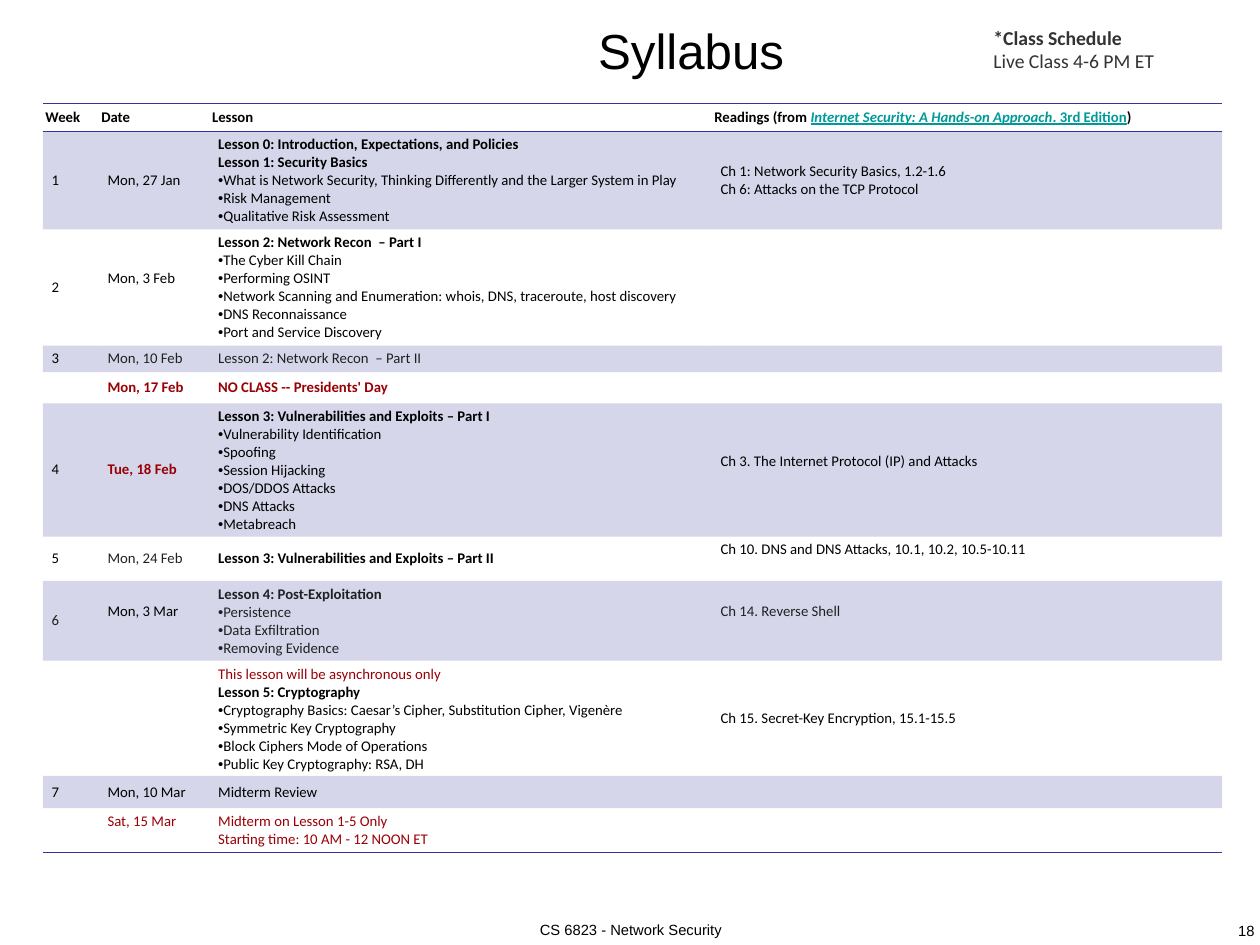
from lxml import etree
from pptx import Presentation
from pptx.dml.color import RGBColor
from pptx.enum.text import MSO_ANCHOR, PP_ALIGN
from pptx.oxml.ns import qn
from pptx.util import Inches, Pt

MID, LOW = MSO_ANCHOR.MIDDLE, MSO_ANCHOR.BOTTOM
LEFT, MIDDLE = PP_ALIGN.LEFT, PP_ALIGN.CENTER
BLACK = RGBColor(0x00, 0x00, 0x00)
GREY = RGBColor(0x33, 0x33, 0x33)
DARK = RGBColor(0x20, 0x21, 0x22)
RED = RGBColor(0x99, 0x00, 0x06)
TEAL = RGBColor(0x00, 0x99, 0x99)
NAVY = RGBColor(0x33, 0x33, 0x99)
PLAIN = "{2D5ABB26-0587-4C30-8999-92F81FD0307C}"

deck = Presentation()
deck.slide_width, deck.slide_height = Inches(14.22), Inches(10.67)
wide, high = deck.slide_width / 100, deck.slide_height / 100
slide = deck.slides.add_slide(deck.slide_layouts[5])


def write(para, text, size=12, face="Calibri", ink=BLACK, bold=False, slant=False, under=False):
    run = para.add_run()
    run.text = text
    font = run.font
    font.size, font.name, font.color.rgb = Pt(size), face, ink
    font.bold, font.italic, font.underline = bold, slant, under


def spot(left, top, width, height):
    return [int(left * wide), int(top * high), int(width * wide), int(height * high)]


title = slide.shapes.title
title.left, title.top, title.width, title.height = spot(47.05, 1.5, 21.3, 7.5)
frame = title.text_frame
frame.vertical_anchor = LOW
frame.margin_left = frame.margin_right = frame.margin_top = frame.margin_bottom = Inches(0.06)
frame.paragraphs[0].alignment = LEFT
write(frame.paragraphs[0], "Syllabus", size=40, face="Arial")

for text, area in (
    ("CS 6823 - Network Security", (42.75, 96.9, 14.65, 2.9)),
    ("18", (97.9, 97, 2.05, 2.9)),
):
    frame = slide.shapes.add_textbox(*spot(*area)).text_frame
    frame.word_wrap = True
    frame.vertical_anchor = MID
    frame.margin_left = frame.margin_right = frame.margin_top = frame.margin_bottom = 0
    frame.paragraphs[0].alignment = MIDDLE
    write(frame.paragraphs[0], text, face="Arial")

frame = slide.shapes.add_textbox(*spot(78.15, 2.25, 16.5, 6)).text_frame
frame.word_wrap = True
write(frame.paragraphs[0], "*Class Schedule", size=16, ink=GREY, bold=True)
write(frame.add_paragraph(), "Live Class 4-6 PM ET", size=16, ink=GREY)

bold, dark, red = dict(bold=True), dict(ink=DARK), dict(ink=RED)
alert, shade = dict(ink=RED, bold=True), dict(ink=DARK, bold=True)
link = dict(ink=TEAL, bold=True, under=True)

rows = [
    (2.9, [[("Week", bold)], [("Date", bold)], [("Lesson", bold)], [("Readings (from ", bold)]]),
    (10.4, [["1"], ["Mon, 27 Jan"], [
        ("Lesson 0: Introduction, Expectations, and Policies", bold),
        ("Lesson 1: Security Basics", bold),
        "•What is Network Security, Thinking Differently and the Larger System in Play",
        "•Risk Management",
        "•Qualitative Risk Assessment",
    ], ["Ch 1: Network Security Basics, 1.2-1.6", "Ch 6: Attacks on the TCP Protocol"]]),
    (12.3, [["2"], ["Mon, 3 Feb"], [
        ("Lesson 2: Network Recon  – Part I", bold),
        "•The Cyber Kill Chain",
        "•Performing OSINT",
        "•Network Scanning and Enumeration: whois, DNS, traceroute, host discovery",
        "•DNS Reconnaissance",
        "•Port and Service Discovery",
    ], []]),
    (2.8, [["3"], [("Mon, 10 Feb", dark)], [("Lesson 2: Network Recon  – Part II", dark)], []]),
    (3.3, [[], [("Mon, 17 Feb", alert)], [("NO CLASS -- Presidents' Day", alert)], []]),
    (14.1, [["4"], [("Tue, 18 Feb", alert)], [
        ("Lesson 3: Vulnerabilities and Exploits – Part I", bold),
        "•Vulnerability Identification",
        "•Spoofing",
        "•Session Hijacking",
        "•DOS/DDOS Attacks",
        "•DNS Attacks",
        "•Metabreach",
    ], ["Ch 3. The Internet Protocol (IP) and Attacks"]]),
    (4.7, [["5"], [("Mon, 24 Feb", dark)],
           [("Lesson 3: Vulnerabilities and Exploits – Part II", bold)],
           ["Ch 10. DNS and DNS Attacks, 10.1, 10.2, 10.5-10.11"]]),
    (8.4, [[("6", dark)], ["Mon, 3 Mar"], [
        ("Lesson 4: Post-Exploitation", shade),
        ("•Persistence", dark),
        ("•Data Exfiltration", dark),
        ("•Removing Evidence", dark),
    ], [("Ch 14. Reverse Shell", dark)]]),
    (12.2, [[], [], [
        ("This lesson will be asynchronous only", red),
        ("Lesson 5: Cryptography", bold),
        "•Cryptography Basics: Caesar’s Cipher, Substitution Cipher, Vigenère",
        "•Symmetric Key Cryptography",
        "•Block Ciphers Mode of Operations",
        "•Public Key Cryptography: RSA, DH",
    ], ["Ch 15. Secret-Key Encryption, 15.1-15.5"]]),
    (3.4, [["7"], ["Mon, 10 Mar"], ["Midterm Review"], []]),
    (4.7, [[], [("Sat, 15 Mar", red)],
           [("Midterm on Lesson 1-5 Only", red), ("Starting time: 10 AM - 12 NOON ET", red)], []]),
]
cols = [4.43, 8.79, 39.87, 40.51]
banded = {1, 3, 5, 7, 9}
raised = {(2, 1), (5, 3), (6, 3), (7, 1), (7, 3), (10, 1)}
edges = {0: ("a:lnB", "a:lnT"), len(rows) - 1: ("a:lnB",)}

area = spot(3.4, 10.97, sum(cols), sum(tall for tall, _ in rows))
table = slide.shapes.add_table(len(rows), len(cols), *area).table
table.first_row = table.horz_banding = False
table._tbl.tblPr[0].text = PLAIN
for col, share in zip(table.columns, cols):
    col.width = int(share * wide)

for i, (tall, cells) in enumerate(rows):
    table.rows[i].height = int(tall * high)
    for j, lines in enumerate(cells):
        cell = table.cell(i, j)
        cell.vertical_anchor = MID
        if i == 0:
            cell.margin_left = cell.margin_right = Inches(0.03)
            cell.margin_top = cell.margin_bottom = Inches(0.01)
        if (i, j) in raised:
            cell.margin_bottom = Inches(0.25)
        if i in banded:
            cell.fill.solid()
            cell.fill.fore_color.rgb = NAVY
            tint = cell._tc.tcPr.find(".//" + qn("a:srgbClr"))
            etree.SubElement(tint, qn("a:alpha"), val="20000")
        else:
            cell.fill.background()
        for edge in edges.get(i, ()):
            line = etree.Element(qn(edge), w=str(Pt(1)))
            fill = etree.SubElement(line, qn("a:solidFill"))
            etree.SubElement(fill, qn("a:srgbClr"), val=str(NAVY))
            cell._tc.tcPr.insert(0, line)
        frame = cell.text_frame
        if not lines:
            frame.paragraphs[0]._p.get_or_add_endParaRPr().set("sz", "1200")
        for k, item in enumerate(lines):
            text, form = (item, {}) if isinstance(item, str) else item
            para = frame.add_paragraph() if k else frame.paragraphs[0]
            if text.startswith("•"):
                text = text[1:]
                props = para._p.get_or_add_pPr()
                props.set("marL", "0")
                props.set("indent", "0")
                etree.SubElement(props, qn("a:buFont"), typeface="Arial")
                etree.SubElement(props, qn("a:buChar"), char="•")
            write(para, text, **form)

head = table.cell(0, 3).text_frame.paragraphs[0]
write(head, "Internet Security: A Hands-on Approach", slant=True, **link)
write(head, ". 3rd Edition", **link)
write(head, ")", bold=True)

deck.save("out.pptx")
